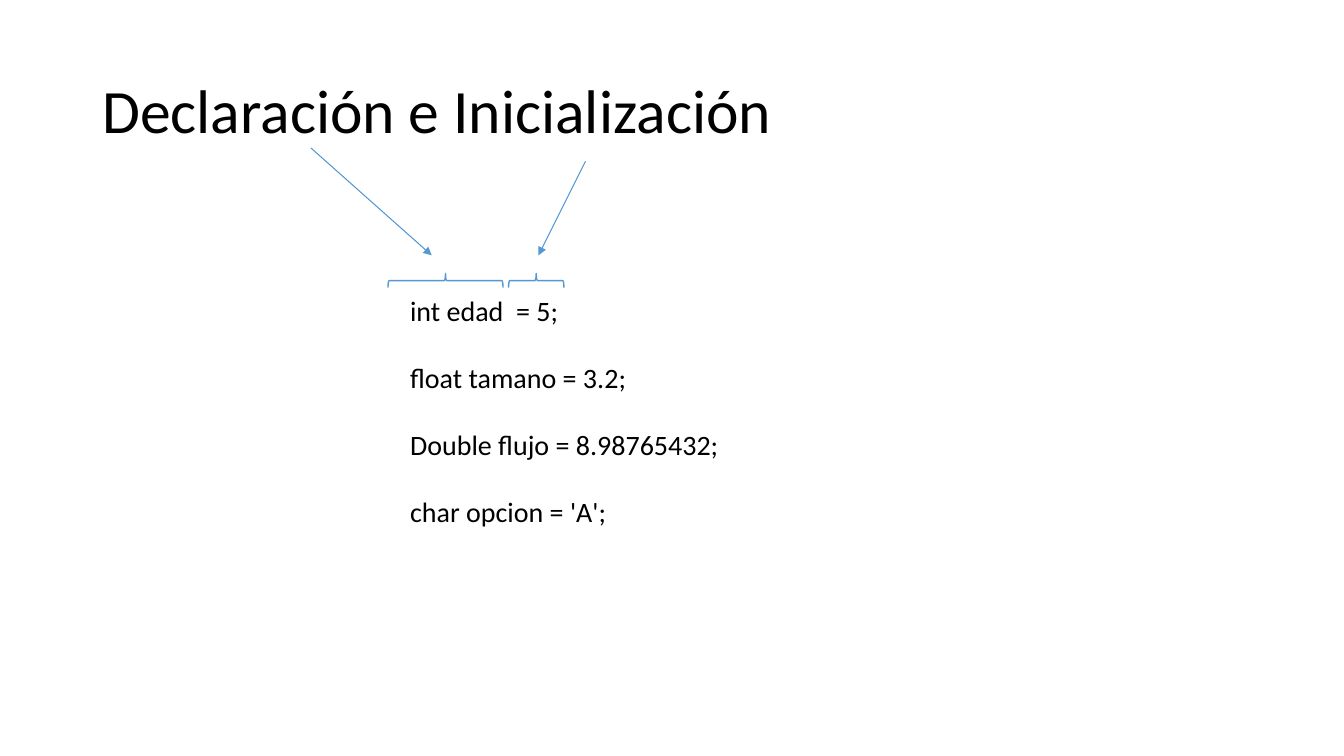
from lxml.etree import SubElement
from pptx import Presentation
from pptx.dml.color import RGBColor
from pptx.enum.shapes import MSO_CONNECTOR, MSO_SHAPE
from pptx.enum.text import MSO_ANCHOR
from pptx.oxml.ns import qn
from pptx.util import Inches, Pt

COLORS = {"text": "000000", "line": "5698D3"}
CELL = Inches(7.5) / 90


def cells(*counts):
    return [round(count * CELL) for count in counts]


presentation = Presentation()
presentation.slide_width, presentation.slide_height = cells(160, 90)
slide = presentation.slides.add_slide(presentation.slide_layouts[6])

code_lines = [
    "int edad  = 5;",
    "float tamano = 3.2;",
    "Double flujo = 8.98765432;",
    "char opcion = 'A';",
]
text_blocks = [
    ((11, 4.8, 138, 17.4), ["Declaración e Inicialización"], 44,
     MSO_ANCHOR.MIDDLE, {"line_spacing": 0.9}),
    ((47.64, 34.32, 55, 29.5), code_lines, 20,
     MSO_ANCHOR.TOP, {"space_after": Pt(24)}),
]
for box, lines, size, anchor, paragraph_format in text_blocks:
    frame = slide.shapes.add_textbox(*cells(*box)).text_frame
    frame.word_wrap = True
    frame.vertical_anchor = anchor
    frame.text = "\n".join(lines)
    for paragraph in frame.paragraphs:
        for name, value in paragraph_format.items():
            setattr(paragraph, name, value)
        for name, value in {"name": "Calibri", "size": Pt(size)}.items():
            setattr(paragraph.font, name, value)
        paragraph.font.color.rgb = RGBColor.from_string(COLORS["text"])

brace_row, brace_depth = 33.4, 1.7
for center, length in [(53.04, 13.7), (63.84, 6.6)]:
    brace = slide.shapes.add_shape(
        MSO_SHAPE.RIGHT_BRACE,
        *cells(center - brace_depth / 2, brace_row - length / 2, brace_depth, length))
    brace.rotation = 270
    brace.shadow.inherit = False
    brace.fill.background()
    brace.line.color.rgb = RGBColor.from_string(COLORS["line"])
    brace.line.width = Pt(1)

arrow_tip_row = 30.4
for start_column, start_row, tip_column in [(37, 17.6, 51.4), (69.7, 19.2, 64.1)]:
    arrow = slide.shapes.add_connector(
        MSO_CONNECTOR.STRAIGHT,
        *cells(start_column, start_row, tip_column, arrow_tip_row))
    arrow.line.color.rgb = RGBColor.from_string(COLORS["line"])
    arrow.line.width = Pt(0.75)
    SubElement(arrow.line._get_or_add_ln(), qn("a:tailEnd"), type="triangle")
    SubElement(arrow._element.spPr, qn("a:effectLst"))

presentation.save("out.pptx")
